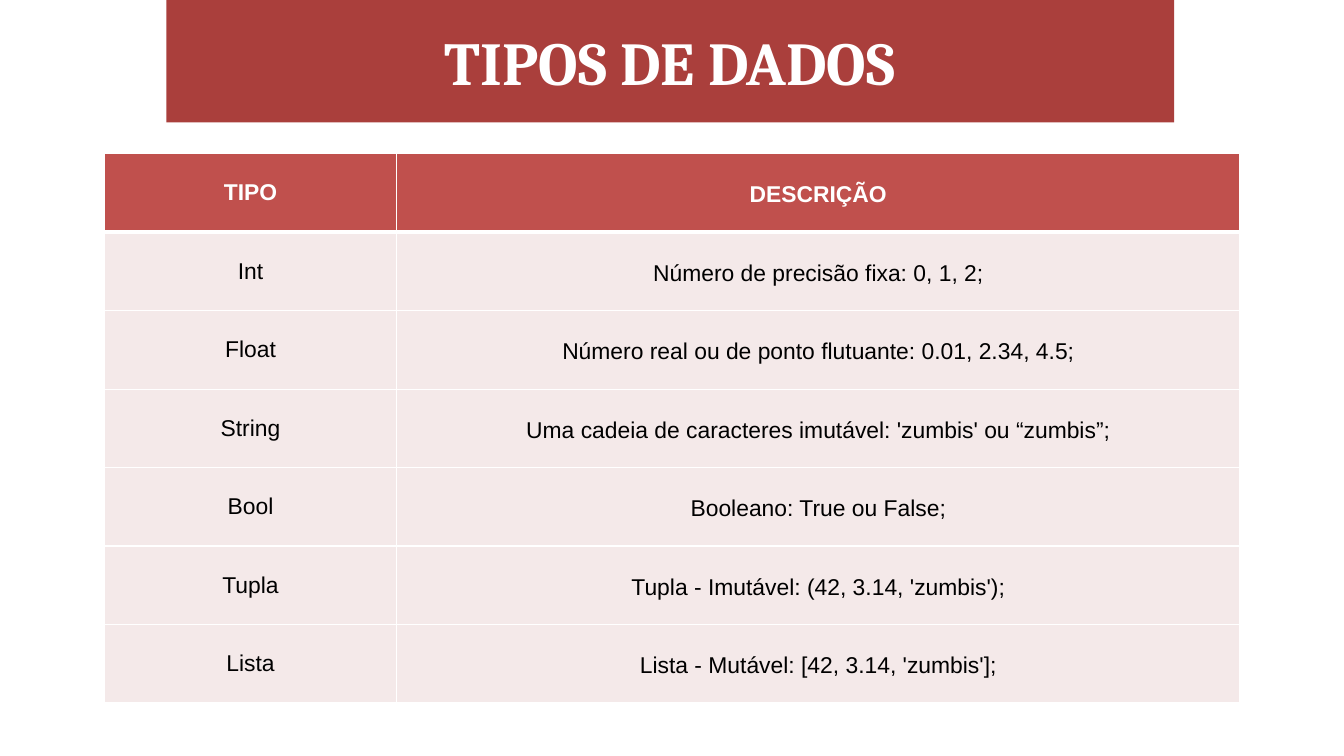
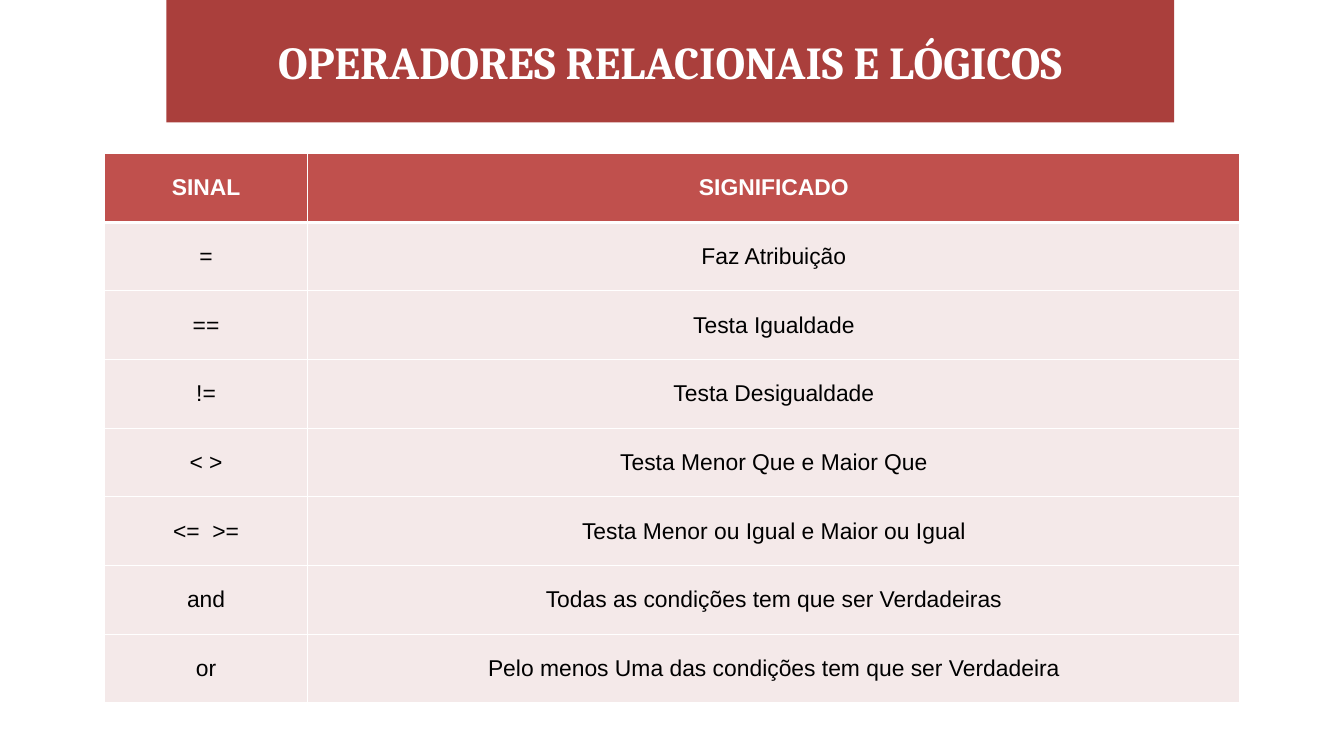
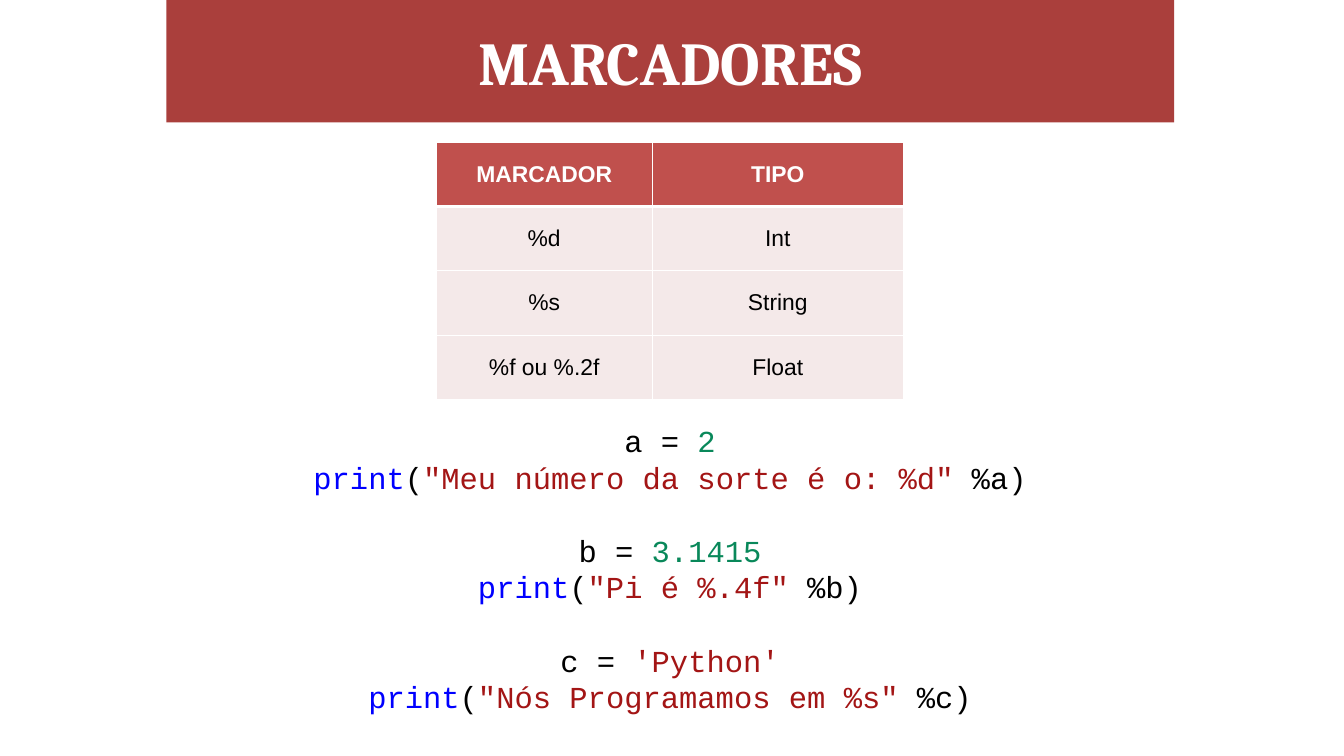
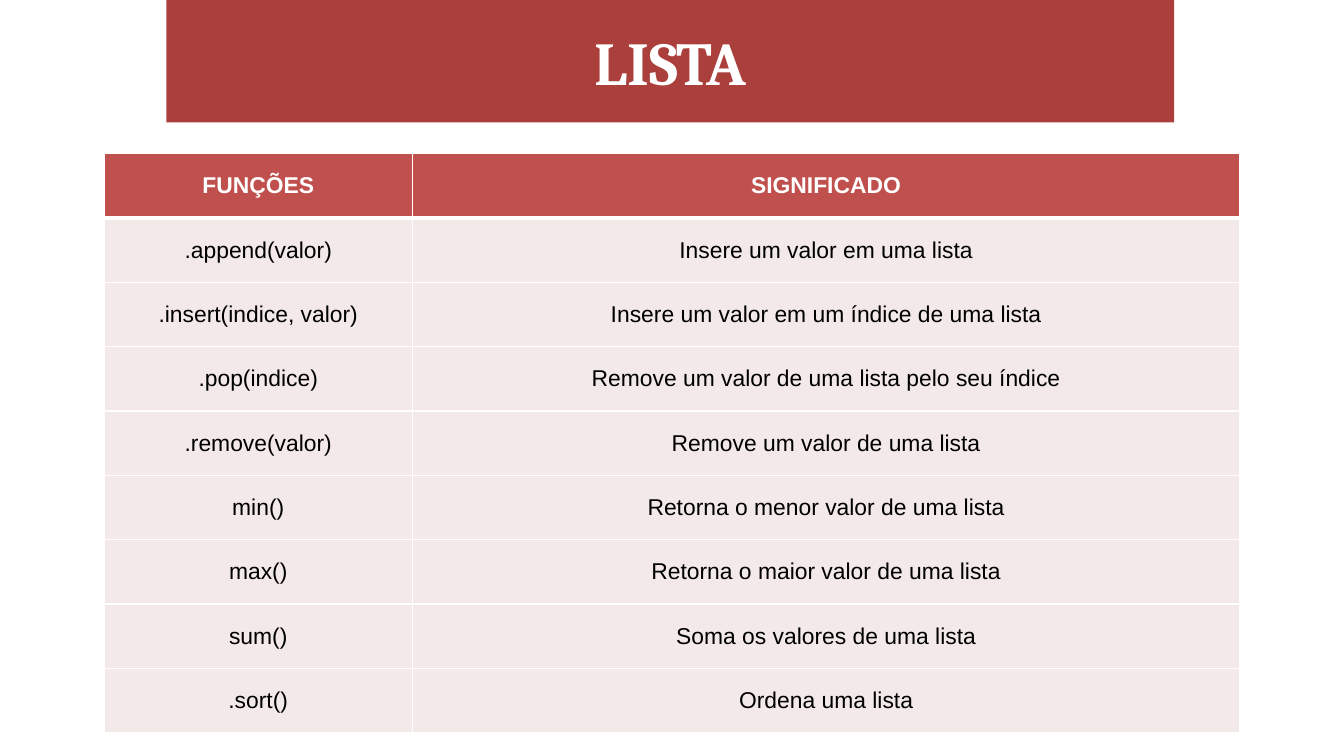
from dataclasses import dataclass

from lxml.etree import fromstring
from pptx import Presentation
from pptx.dml.color import RGBColor as RGB
from pptx.enum.shapes import MSO_SHAPE as SHAPE
from pptx.enum.text import MSO_ANCHOR as ANCHOR, PP_ALIGN as ALIGN
from pptx.util import Cm, Pt

NS = "http://schemas.openxmlformats.org/drawingml/2006/main"


@dataclass(frozen=True)
class Theme:
    band: str = "AA3F3C"
    header: str = "C0504D"
    row: str = "F4E9E9"
    white: str = "FFFFFF"
    black: str = "000000"
    number: str = "09885A"
    keyword: str = "0000FF"
    string: str = "A31515"
    title_font: str = "Cambria"
    body_font: str = "Arial"
    code_font: str = "Courier New"
    title_size: int = 48
    long_title_size: int = 36
    body_size: int = 18
    code_size: int = 24
    code_gap: float = 28.8
    rule: int = 1
    header_rule: int = 3


T = Theme()
BAND_BOX = (4.62, 0, 28, 3.4)
TABLE_BOX = (2.9, 4.27, 31.55, 15.27)


def put_text(p, runs, font=T.body_font, size=T.body_size, color=T.black,
             bold=False, spacing=None, before=None):
    """Fill a centred paragraph with a string or with (text, colour) runs."""
    p.alignment = ALIGN.CENTER
    if spacing:
        p.line_spacing = spacing
    if before:
        p.space_before = Pt(before)
    for words, run_color in [(runs, color)] if isinstance(runs, str) else runs:
        r = p.add_run()
        r.text = words
        r.font.name, r.font.size, r.font.bold = font, Pt(size), bold
        r.font.color.rgb = RGB.from_string(run_color)


def add_title_band(s, title, size=T.title_size):
    sp = s.shapes.add_shape(SHAPE.RECTANGLE, *map(Cm, BAND_BOX))
    sp.shadow.inherit = False
    sp.fill.solid()
    sp.fill.fore_color.rgb = RGB.from_string(T.band)
    sp.line.fill.background()
    tf = sp.text_frame
    tf.word_wrap = True
    tf.vertical_anchor = ANCHOR.MIDDLE
    tf.margin_left = tf.margin_top = tf.margin_right = tf.margin_bottom = 0
    put_text(tf.paragraphs[0], title, font=T.title_font, size=size,
             color=T.white, bold=True)


def set_borders(cell, top, bottom):
    """Draw white cell edges, with the top and bottom widths in points."""
    widths = {"lnL": T.rule, "lnR": T.rule, "lnT": top, "lnB": bottom}
    tc_pr = cell._tc.get_or_add_tcPr()
    for i, (tag, width) in enumerate(widths.items()):
        tc_pr.insert(i, fromstring(
            f'<a:{tag} xmlns:a="{NS}" w="{Pt(width)}"><a:solidFill>'
            f'<a:srgbClr val="{T.white}"/></a:solidFill></a:{tag}>'))


def add_grid(s, rows, first_col, box=TABLE_BOX, spacing=None):
    """Add a two-column table with equal rows; spacing applies to column two."""
    left, top, width, height = box
    table = s.shapes.add_table(len(rows), 2, *map(Cm, box)).table
    table.horz_banding = False
    table.columns[0].width = Cm(first_col)
    table.columns[1].width = Cm(width - first_col)
    for i, row in enumerate(rows):
        table.rows[i].height = Cm(height / len(rows))
        head = i == 0
        for j, words in enumerate(row):
            cell = table.cell(i, j)
            cell.vertical_anchor = ANCHOR.MIDDLE
            cell.fill.solid()
            cell.fill.fore_color.rgb = RGB.from_string(T.header if head else T.row)
            set_borders(cell, top=T.header_rule if i == 1 else T.rule,
                        bottom=T.header_rule if head else T.rule)
            put_text(cell.text_frame.paragraphs[0], words, bold=head,
                     color=T.white if head else T.black,
                     spacing=spacing if j else None)


def add_code(s, examples, box):
    """Add pairs of code lines: an assignment and the print that shows it."""
    tf = s.shapes.add_textbox(*map(Cm, box)).text_frame
    tf.word_wrap = True
    for i, (name, value, color, message) in enumerate(examples):
        assign = [(f"{name} = ", T.black), (value, color)]
        show = [("print", T.keyword), ("(", T.black),
                (message, T.string), (f" %{name})", T.black)]
        p = tf.add_paragraph() if i else tf.paragraphs[0]
        put_text(p, assign, font=T.code_font, size=T.code_size,
                 before=T.code_gap if i else None)
        put_text(tf.add_paragraph(), show, font=T.code_font, size=T.code_size)


TYPES = [
    ("TIPO", "DESCRIÇÃO"),
    ("Int", "Número de precisão fixa: 0, 1, 2;"),
    ("Float", "Número real ou de ponto flutuante: 0.01, 2.34, 4.5;"),
    ("String", "Uma cadeia de caracteres imutável: 'zumbis' ou “zumbis”;"),
    ("Bool", "Booleano: True ou False;"),
    ("Tupla", "Tupla - Imutável: (42, 3.14, 'zumbis');"),
    ("Lista", "Lista - Mutável: [42, 3.14, 'zumbis'];"),
]
OPERATORS = [
    ("SINAL", "SIGNIFICADO"),
    ("=", "Faz Atribuição"),
    ("==", "Testa Igualdade"),
    ("!=", "Testa Desigualdade"),
    ("< >", "Testa Menor Que e Maior Que"),
    ("<=  >=", "Testa Menor ou Igual e Maior ou Igual"),
    ("and", "Todas as condições tem que ser Verdadeiras"),
    ("or", "Pelo menos Uma das condições tem que ser Verdadeira"),
]
MARKERS = [
    ("MARCADOR", "TIPO"),
    ("%d", "Int"),
    ("%s", "String"),
    ("%f ou %.2f", "Float"),
]
EXAMPLES = [
    ("a", "2", T.number, '"Meu número da sorte é o: %d"'),
    ("b", "3.1415", T.number, '"Pi é %.4f"'),
    ("c", "'Python'", T.string, '"Nós Programamos em %s"'),
]
LIST_FUNCTIONS = [
    ("FUNÇÕES", "SIGNIFICADO"),
    (".append(valor)", "Insere um valor em uma lista"),
    (".insert(indice, valor)", "Insere um valor em um índice de uma lista"),
    (".pop(indice)", "Remove um valor de uma lista pelo seu índice"),
    (".remove(valor)", "Remove um valor de uma lista"),
    ("min()", "Retorna o menor valor de uma lista"),
    ("max()", "Retorna o maior valor de uma lista"),
    ("sum()", "Soma os valores de uma lista"),
    (".sort()", "Ordena uma lista"),
]


def main():
    prs = Presentation()
    prs.slide_width, prs.slide_height = Cm(37.34), Cm(21.01)

    def new_slide(title, **kwargs):
        s = prs.slides.add_slide(prs.slide_layouts[6])
        add_title_band(s, title, **kwargs)
        return s

    add_grid(new_slide("TIPOS DE DADOS"), TYPES, first_col=8.12, spacing=1.15)

    s = new_slide("OPERADORES RELACIONAIS E LÓGICOS", size=T.long_title_size)
    add_grid(s, OPERATORS, first_col=5.65)

    s = new_slide("MARCADORES")
    add_grid(s, MARKERS, first_col=6, box=(12.12, 3.96, 12.98, 7.14))
    add_code(s, EXAMPLES, box=(3.96, 11.61, 29.31, 8.81))

    add_grid(new_slide("LISTA"), LIST_FUNCTIONS, first_col=8.55,
             box=(*TABLE_BOX[:3], 16.1))

    prs.save("out.pptx")


if __name__ == "__main__":
    main()
